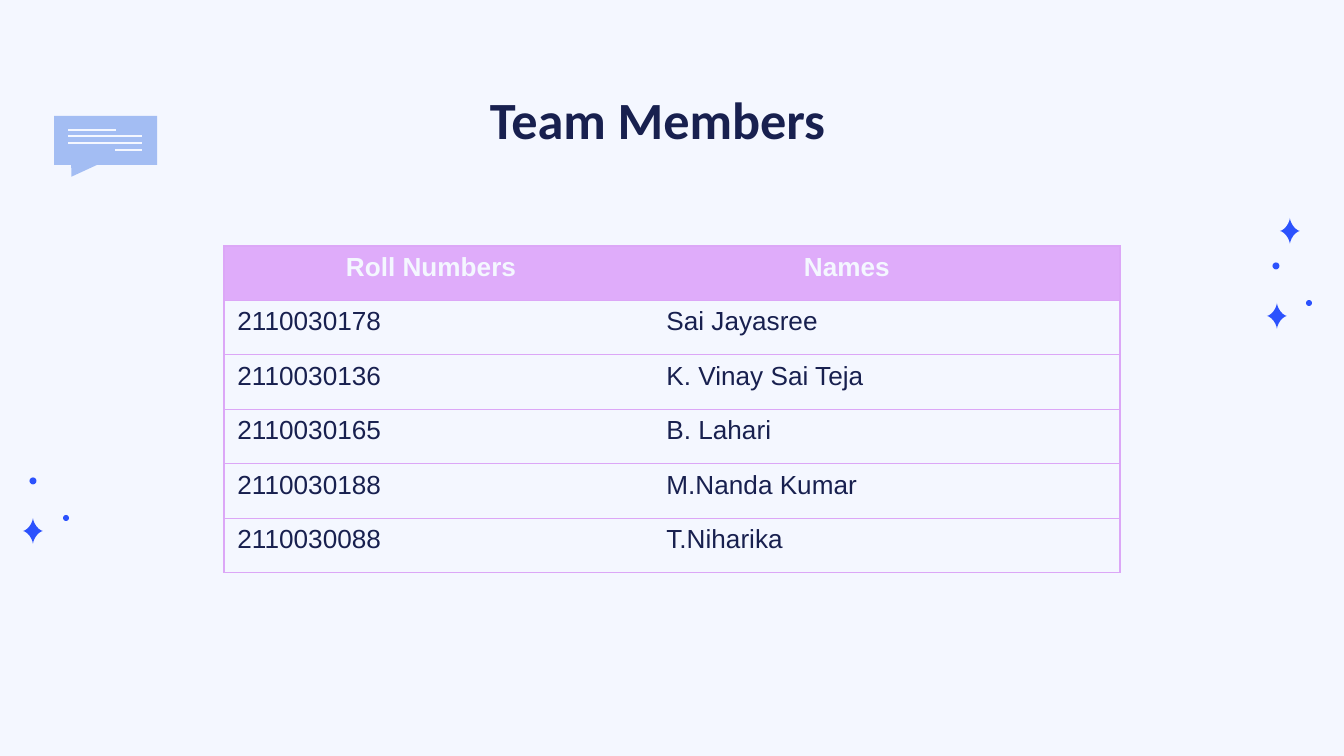
from math import cos, pi, sin

from lxml.etree import SubElement
from pptx import Presentation
from pptx.dml.color import RGBColor
from pptx.enum.shapes import MSO_CONNECTOR, MSO_SHAPE
from pptx.enum.text import MSO_ANCHOR, PP_ALIGN
from pptx.oxml.ns import qn
from pptx.util import Pt

TITLE = "Team Members"
HEADERS = ["Roll Numbers", "Names"]
MEMBERS = [
    ("2110030178", "Sai Jayasree"),
    ("2110030136", "K. Vinay Sai Teja"),
    ("2110030165", "B. Lahari"),
    ("2110030188", "M.Nanda Kumar"),
    ("2110030088", "T.Niharika"),
]

PAPER, NAVY, BLUE = "F4F7FF", "18204F", "2C52FD"
HEADER_FILL, BORDER, BUBBLE = "DFACFA", "DCA7F7", "A3BDF3"

EMU_PER_PX = 914400 / 134.4
TITLE_BOX = (91, 74, 1133, 85)
TABLE_BOX = (224, 246, 896, 327)
COLUMN_WIDTHS = (429, 467)
HEADER_MARGINS = (122, 151)
BUBBLE_BOX = (54, 116, 103, 49)
BUBBLE_LINES = [(68, 116, 130), (68, 142, 136), (68, 142, 143), (115, 142, 150)]
SPARKLES = [
    {"stars": [(33, 531)], "dots": [(33, 481, 7), (66, 518, 6)]},
    {"stars": [(1290, 231), (1277, 316)], "dots": [(1276, 266, 7), (1309, 303, 6)]},
]
STAR_RADII = (10, 13)
STAR_STEPS = 32

TITLE_FONT = {"name": "Calibri", "size": Pt(28), "bold": True}
HEADER_FONT = {"name": "Arial", "size": Pt(14), "bold": True}
BODY_FONT = {**HEADER_FONT, "bold": False}


def px(length):
    return round(length * EMU_PER_PX)


def color(value):
    return RGBColor.from_string(value)


def paint(shape, value):
    shape.shadow.inherit = False
    shape.fill.solid()
    shape.fill.fore_color.rgb = color(value)
    shape.line.fill.background()


def write(frame, text, font, value):
    span = frame.paragraphs[0].add_run()
    span.text = text
    for name, setting in font.items():
        setattr(span.font, name, setting)
    span.font.color.rgb = color(value)


def add_star(group, x, y):
    points = []
    for step in range(STAR_STEPS):
        angle = 2 * pi * step / STAR_STEPS
        points.append((px(x + STAR_RADII[0] * cos(angle) ** 3),
                       px(y + STAR_RADII[1] * sin(angle) ** 3)))
    outline = group.shapes.build_freeform(*points[0])
    outline.add_line_segments(points[1:], close=True)
    paint(outline.convert_to_shape(), BLUE)


def add_sparkles(page, sparkle):
    group = page.shapes.add_group_shape()
    for x, y in sparkle["stars"]:
        add_star(group, x, y)
    for x, y, size in sparkle["dots"]:
        box = (x - size / 2, y - size / 2, size, size)
        paint(group.shapes.add_shape(MSO_SHAPE.OVAL, *map(px, box)), BLUE)


def add_bubble(page):
    group = page.shapes.add_group_shape()
    bubble = group.shapes.add_shape(
        MSO_SHAPE.ROUNDED_RECTANGULAR_CALLOUT, *map(px, BUBBLE_BOX))
    for index, value in enumerate((-0.33, 0.74, 0)):
        bubble.adjustments[index] = value
    paint(bubble, BUBBLE)
    for left, right, y in BUBBLE_LINES:
        line = group.shapes.add_connector(
            MSO_CONNECTOR.STRAIGHT, *map(px, (left, y, right, y)))
        line.line.color.rgb = color(PAPER)
        line.line.width = Pt(0.75)
        SubElement(line._element.spPr, qn("a:effectLst"))


def set_borders(cell, visible):
    properties = cell._tc.get_or_add_tcPr()
    for index, side in enumerate("LRTB"):
        border = properties.makeelement(qn("a:ln" + side), {"w": str(Pt(0.75))})
        if side in visible:
            fill = SubElement(border, qn("a:solidFill"))
            SubElement(fill, qn("a:srgbClr"), val=BORDER)
        else:
            SubElement(border, qn("a:noFill"))
        properties.insert(index, border)


def add_members(page):
    rows = [HEADERS, *MEMBERS]
    table = page.shapes.add_table(len(rows), len(HEADERS), *map(px, TABLE_BOX)).table
    table.horz_banding = False
    for column, width in zip(table.columns, COLUMN_WIDTHS):
        column.width = px(width)
    for row_index, texts in enumerate(rows):
        table.rows[row_index].height = px(TABLE_BOX[3] / len(rows))
        for column_index, text in enumerate(texts):
            cell = table.cell(row_index, column_index)
            if row_index == 0:
                cell.fill.solid()
                cell.fill.fore_color.rgb = color(HEADER_FILL)
                cell.margin_left = px(HEADER_MARGINS[column_index])
                write(cell.text_frame, text, HEADER_FONT, PAPER)
            else:
                cell.fill.background()
                write(cell.text_frame, text, BODY_FONT, NAVY)
            set_borders(cell, "TB" + "LR"[column_index])


def add_title(page):
    title = page.shapes.title
    title.left, title.top, title.width, title.height = map(px, TITLE_BOX)
    frame = title.text_frame
    frame.vertical_anchor = MSO_ANCHOR.TOP
    frame.margin_top = frame.margin_bottom = px(13)
    frame.paragraphs[0].alignment = PP_ALIGN.CENTER
    write(frame, TITLE, TITLE_FONT, NAVY)


def main():
    deck = Presentation()
    deck.slide_width, deck.slide_height = px(1344), px(756)
    page = deck.slides.add_slide(deck.slide_layouts[5])
    page.background.fill.solid()
    page.background.fill.fore_color.rgb = color(PAPER)
    add_title(page)
    for sparkle in SPARKLES:
        add_sparkles(page, sparkle)
    add_bubble(page)
    add_members(page)
    deck.save("out.pptx")


if __name__ == "__main__":
    main()
